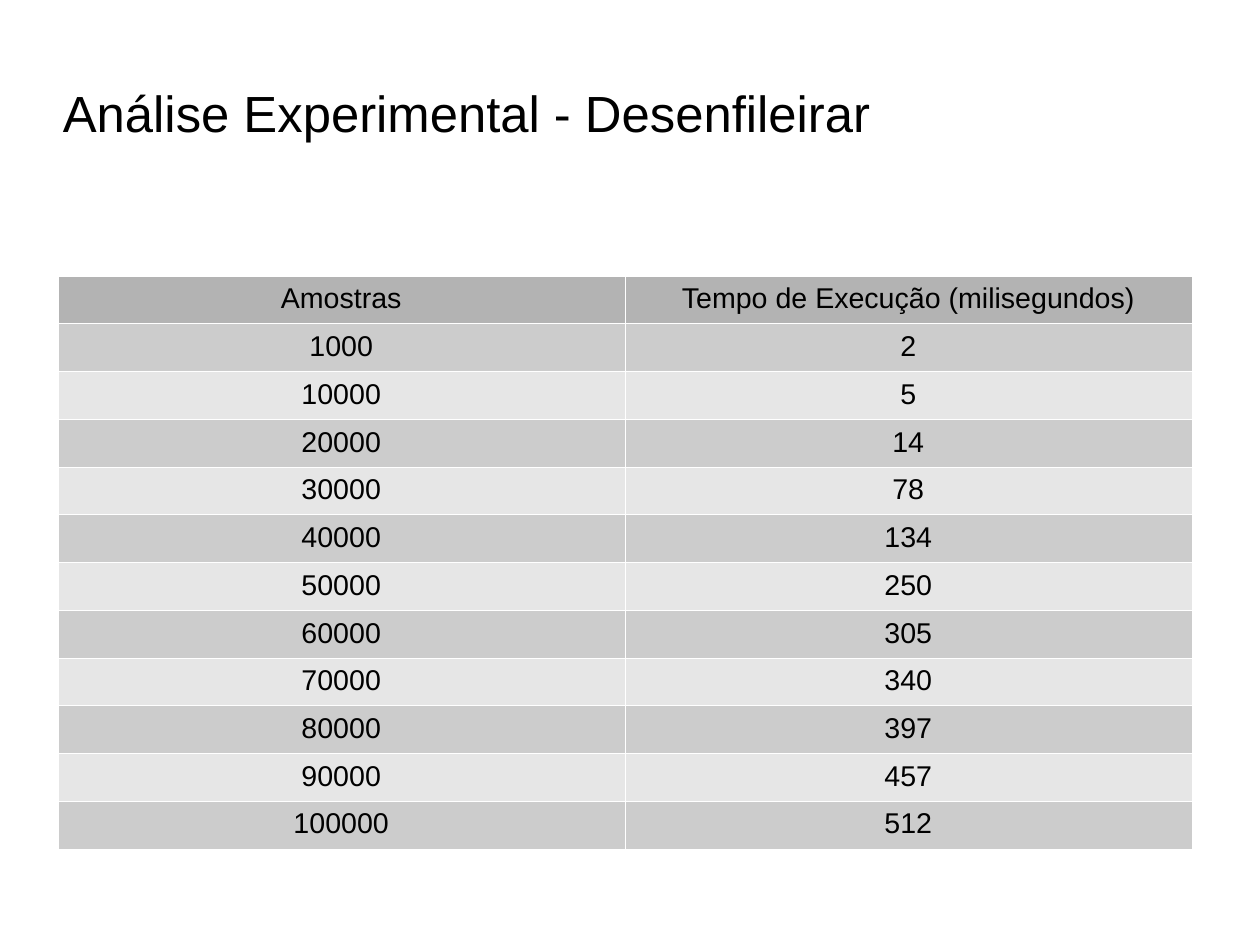
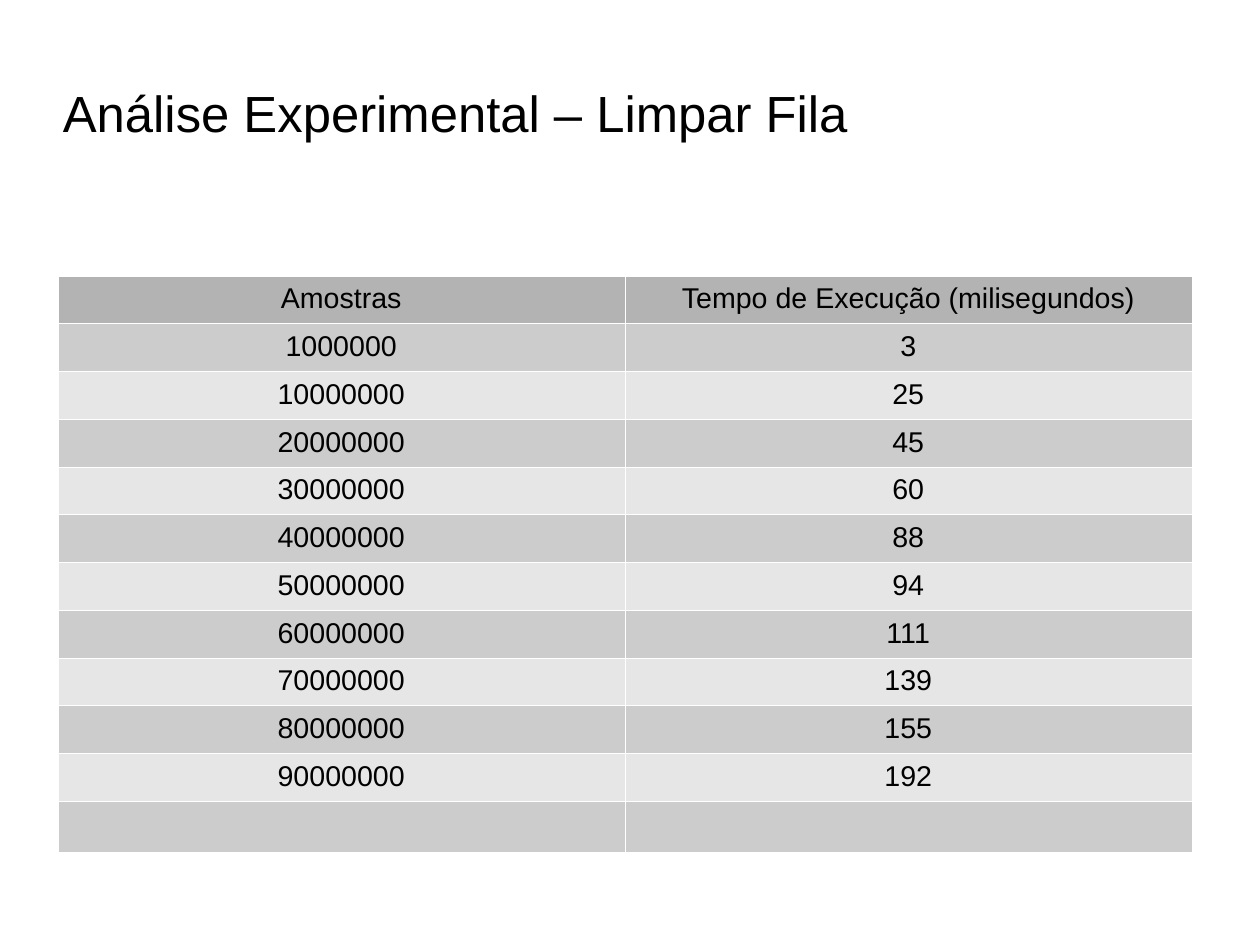
from lxml.etree import SubElement
from pptx import Presentation
from pptx.dml.color import RGBColor
from pptx.enum.text import MSO_ANCHOR, MSO_AUTO_SIZE, PP_ALIGN
from pptx.oxml.ns import qn
from pptx.util import Pt

# Shared style
COLORS = {
    "text": "000000",
    "border": "FFFFFF",
    "header": "B3B3B3",
    "odd_row": "CCCCCC",
    "even_row": "E6E6E6",
}
FONT = "Arial"
TITLE_ONLY = 5
ROW_COUNT = 12
ROW_HEIGHT = 30.1
COLUMN_WIDTH = 357.2
BORDER_WIDTH = 0.06

# Content
HEADER = ("Amostras", "Tempo de Execução (milisegundos)")
DEQUEUE_TIMES = [
    (1000, 2), (10000, 5), (20000, 14), (30000, 78), (40000, 134), (50000, 250),
    (60000, 305), (70000, 340), (80000, 397), (90000, 457), (100000, 512),
]
CLEAR_TIMES = [
    (1000000, 3), (10000000, 25), (20000000, 45), (30000000, 60), (40000000, 88),
    (50000000, 94), (60000000, 111), (70000000, 139), (80000000, 155), (90000000, 192),
]


def write(frame, text, size=18, align=PP_ALIGN.CENTER, spacing=0.89):
    para = frame.paragraphs[0]
    para.alignment = align
    para.line_spacing = spacing
    if text:
        span = para.add_run()
        span.text = text
        span.font.name = FONT
        span.font.size = Pt(size)
        span.font.color.rgb = RGBColor.from_string(COLORS["text"])


def set_margins(target, left, top, right, bottom):
    target.margin_left, target.margin_top = Pt(left), Pt(top)
    target.margin_right, target.margin_bottom = Pt(right), Pt(bottom)


def place_layout_title(layout):
    box = layout.placeholders[0]
    box.left, box.top, box.width, box.height = Pt(39.6), Pt(22.3), Pt(553), Pt(98)
    frame = box.text_frame
    set_margins(frame, 0, 2.9, 0, 0)
    frame.vertical_anchor = MSO_ANCHOR.MIDDLE
    frame.auto_size = MSO_AUTO_SIZE.NONE


def add_borders(cell):
    properties = cell._tc.get_or_add_tcPr()
    for side in ("lnL", "lnR", "lnT", "lnB"):
        line = SubElement(properties, qn(f"a:{side}"), w=str(Pt(BORDER_WIDTH)))
        fill = SubElement(line, qn("a:solidFill"))
        SubElement(fill, qn("a:srgbClr"), val=COLORS["border"])


def format_cell(cell, text, color):
    set_margins(cell, 7.2, 6.5, 7.2, 3.6)
    write(cell.text_frame, text)
    add_borders(cell)
    cell.fill.solid()
    cell.fill.fore_color.rgb = RGBColor.from_string(color)


def row_color(index):
    if index == 0:
        return COLORS["header"]
    return COLORS["odd_row" if index % 2 else "even_row"]


def add_time_table(page, times):
    rows = [HEADER, *times]
    rows += [("", "")] * (ROW_COUNT - len(rows))
    table = page.shapes.add_table(
        ROW_COUNT, len(HEADER), Pt(36.3), Pt(173.7),
        Pt(COLUMN_WIDTH * len(HEADER)), Pt(ROW_HEIGHT * ROW_COUNT),
    ).table
    for row_index, values in enumerate(rows):
        table.rows[row_index].height = Pt(ROW_HEIGHT)
        for column_index, value in enumerate(values):
            format_cell(table.cell(row_index, column_index), str(value), row_color(row_index))


def add_analysis_page(deck, title, times):
    page = deck.slides.add_slide(deck.slide_layouts[TITLE_ONLY])
    write(page.shapes.title.text_frame, title, size=32, align=PP_ALIGN.LEFT, spacing=0.94)
    add_time_table(page, times)


def main():
    deck = Presentation()
    deck.slide_width, deck.slide_height = Pt(793.7), Pt(595.3)
    place_layout_title(deck.slide_layouts[TITLE_ONLY])
    add_analysis_page(deck, "Análise Experimental - Desenfileirar", DEQUEUE_TIMES)
    add_analysis_page(deck, "Análise Experimental – Limpar Fila", CLEAR_TIMES)
    deck.save("out.pptx")


main()
